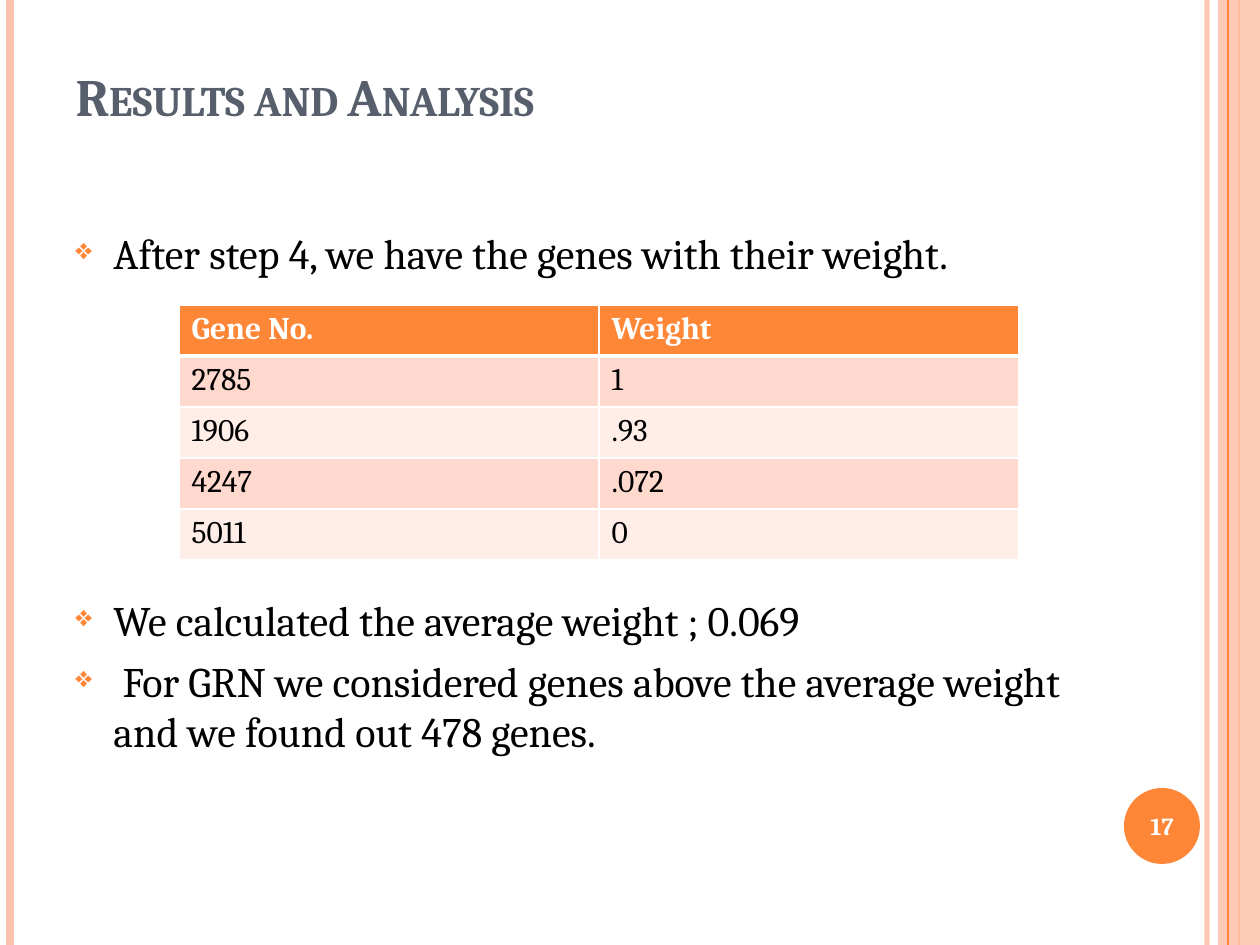
from lxml.etree import SubElement
from pptx import Presentation
from pptx.dml.color import RGBColor
from pptx.enum.shapes import MSO_CONNECTOR as Connector, MSO_SHAPE as Shape
from pptx.enum.text import MSO_ANCHOR as Anchor, MSO_AUTO_SIZE as AutoSize, PP_ALIGN as Align
from pptx.oxml.ns import qn
from pptx.util import Pt

FONT = "Cambria"
ORANGE = RGBColor(0xFE, 0x86, 0x37)
PEACH = RGBColor(0xFE, 0xC3, 0xAE)
SLATE = RGBColor(0x57, 0x5F, 0x6D)
BLACK = RGBColor(0, 0, 0)
WHITE = RGBColor(0xFF, 0xFF, 0xFF)
BAND_DARK = RGBColor(0xFF, 0xD9, 0xCE)
BAND_LIGHT = RGBColor(0xFF, 0xED, 0xE8)

GENES = [("Gene No.", "Weight"), ("2785", "1"), ("1906", ".93"), ("4247", ".072"), ("5011", "0")]
POINTS = [
    ("After step 4, we have the genes with their weight.", 6),
    ("We calculated the average weight ; 0.069", 181),
    (" For GRN we considered genes above the average weight and we found out 478 genes.", 6),
]


def px(value):
    return round(value * 914400 / 126)


def write(paragraph, text, size=18, color=BLACK, bold=False, align=Align.LEFT, small_caps=False):
    paragraph.alignment = align
    run = paragraph.add_run()
    run.text = text
    font = run.font
    font.name, font.size, font.bold = FONT, Pt(size), bold
    font.color.rgb = color
    if small_caps:
        run._r.get_or_add_rPr().set("cap", "small")


def set_alpha(fill_parent, percent):
    color = fill_parent.find(".//" + qn("a:srgbClr"))
    SubElement(color, qn("a:alpha"), val=str(percent * 1000))


def add_stripe(slide, x, color, width, alpha=100):
    line = slide.shapes.add_connector(Connector.STRAIGHT, px(x), 0, px(x), px(945))
    line.line.color.rgb = color
    line.line.width = Pt(width)
    if alpha < 100:
        set_alpha(line.line._ln, alpha)
    SubElement(line._element.spPr, qn("a:effectLst"))


def add_block(slide, kind, left, top, width, height, color, alpha=100):
    shape = slide.shapes.add_shape(kind, px(left), px(top), px(width), px(height))
    shape.shadow.inherit = False
    shape.fill.solid()
    shape.fill.fore_color.rgb = color
    shape.line.fill.background()
    if alpha < 100:
        set_alpha(shape._element.spPr, alpha)


def add_text_frame(slide, left, top, width, height, anchor=Anchor.TOP):
    box = slide.shapes.add_textbox(px(left), px(top), px(width), px(height))
    frame = box.text_frame
    frame.word_wrap = True
    frame.vertical_anchor = anchor
    return frame


def set_title(slide, text):
    title = slide.shapes.title
    title.left, title.top, title.width, title.height = px(63), px(38), px(1029), px(157)
    frame = title.text_frame
    frame.auto_size = AutoSize.NONE
    frame.vertical_anchor = Anchor.BOTTOM
    frame.margin_bottom = px(68)
    write(frame.paragraphs[0], text, size=30, color=SLATE, bold=True, small_caps=True)


def add_bullet(paragraph):
    properties = paragraph._p.get_or_add_pPr()
    properties.set("marL", str(px(38)))
    properties.set("indent", str(-px(38)))
    color = SubElement(properties, qn("a:buClr"))
    SubElement(color, qn("a:srgbClr"), val=str(ORANGE))
    SubElement(properties, qn("a:buSzPct"), val="70000")
    SubElement(properties, qn("a:buChar"), char="❖")


def add_points(slide):
    frame = add_text_frame(slide, 63, 221, 1029, 672)
    for index, (text, space_before) in enumerate(POINTS):
        paragraph = frame.add_paragraph() if index else frame.paragraphs[0]
        paragraph.space_before = Pt(space_before)
        write(paragraph, text, size=24)
        add_bullet(paragraph)


def set_borders(cell, top, bottom):
    properties = cell._tc.get_or_add_tcPr()
    for side, width in (("L", 1), ("R", 1), ("T", top), ("B", bottom)):
        line = SubElement(properties, qn(f"a:ln{side}"), w=str(Pt(width)))
        fill = SubElement(line, qn("a:solidFill"))
        SubElement(fill, qn("a:srgbClr"), val=str(WHITE))


def add_gene_table(slide):
    frame = slide.shapes.add_table(len(GENES), 2, px(179), px(305), px(840), px(255))
    for row, values in enumerate(GENES):
        header = row == 0
        band = ORANGE if header else BAND_DARK if row % 2 else BAND_LIGHT
        for column, value in enumerate(values):
            cell = frame.table.cell(row, column)
            set_borders(cell, top=3 if row == 1 else 1, bottom=3 if header else 1)
            cell.fill.solid()
            cell.fill.fore_color.rgb = band
            write(cell.text_frame.paragraphs[0], value, color=WHITE if header else BLACK, bold=header)


def add_page_number(slide, number):
    add_block(slide, Shape.OVAL, 1124, 788, 76, 76, ORANGE)
    frame = add_text_frame(slide, 1120, 790, 84, 72, anchor=Anchor.MIDDLE)
    write(frame.paragraphs[0], number, size=14, color=WHITE, bold=True, align=Align.CENTER)


def main():
    presentation = Presentation()
    presentation.slide_width, presentation.slide_height = px(1260), px(945)
    slide = presentation.slides.add_slide(presentation.slide_layouts[5])
    add_stripe(slide, 1207, PEACH, 3, alpha=93)
    add_stripe(slide, 10, PEACH, 4.5)
    add_stripe(slide, 1239, ORANGE, 1.5)
    add_block(slide, Shape.RECTANGLE, 1218, 0, 42, 945, PEACH, alpha=87)
    add_stripe(slide, 1228, ORANGE, 0.75)
    set_title(slide, "Results and Analysis")
    add_points(slide)
    add_page_number(slide, "17")
    add_gene_table(slide)
    presentation.save("out.pptx")


if __name__ == "__main__":
    main()
